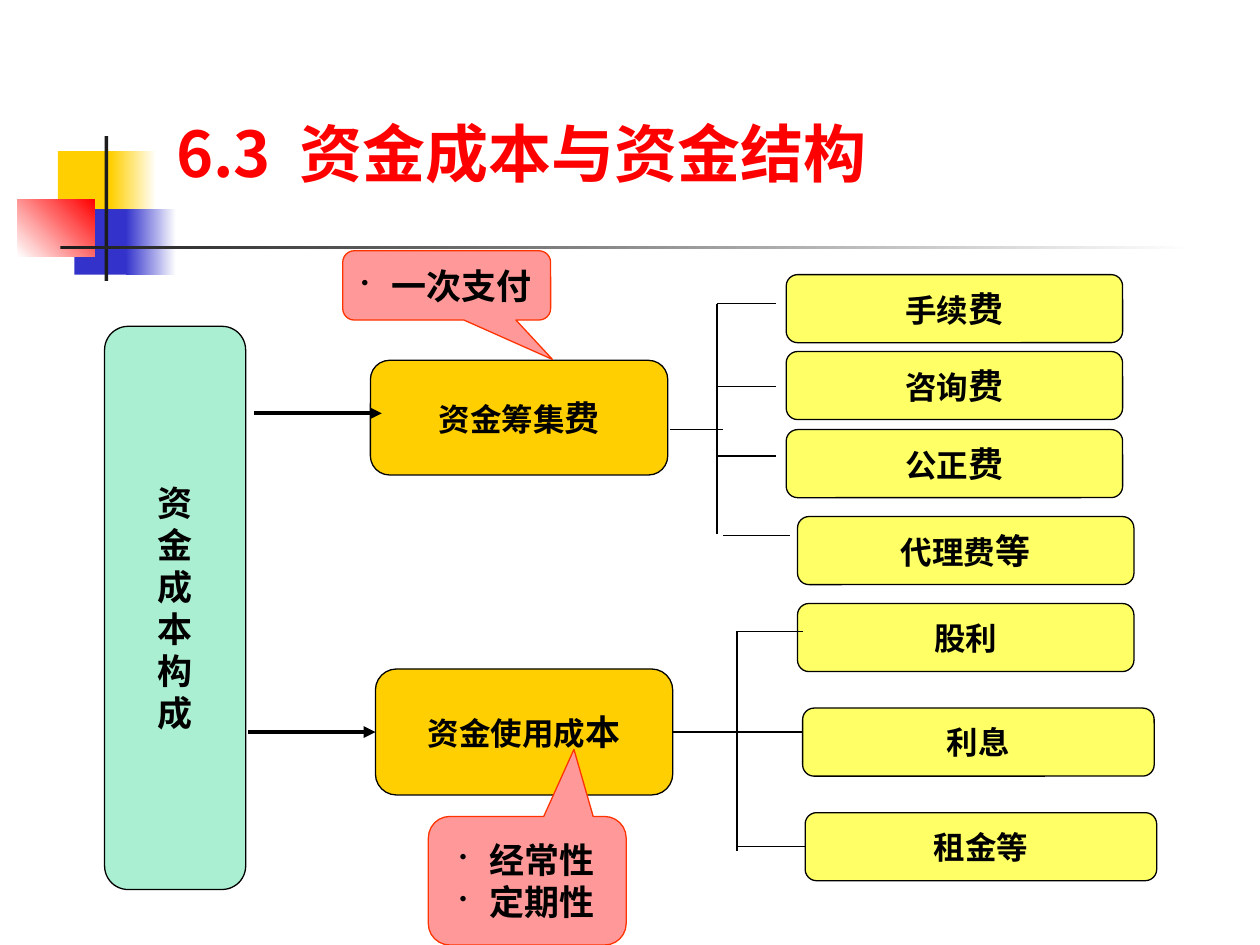
from typing import NamedTuple, Optional

from lxml import etree
from pptx import Presentation
from pptx.dml.color import RGBColor
from pptx.enum.shapes import MSO_CONNECTOR, MSO_SHAPE
from pptx.enum.text import MSO_ANCHOR, PP_ALIGN
from pptx.oxml.ns import qn
from pptx.util import Inches, Pt

RECT = MSO_SHAPE.RECTANGLE
ROUNDED = MSO_SHAPE.ROUNDED_RECTANGLE
CALLOUT = MSO_SHAPE.ROUNDED_RECTANGULAR_CALLOUT
STRAIGHT = MSO_CONNECTOR.STRAIGHT
LEFT, CENTER = PP_ALIGN.LEFT, PP_ALIGN.CENTER
MIDDLE, BOTTOM = MSO_ANCHOR.MIDDLE, MSO_ANCHOR.BOTTOM
LEFT_SIDE, RIGHT_SIDE = 1, 3

BLACK = RGBColor(0x00, 0x00, 0x00)
WHITE = RGBColor(0xFF, 0xFF, 0xFF)
CHARCOAL = RGBColor(0x1C, 0x1C, 0x1C)
GOLD = RGBColor(0xFF, 0xCF, 0x01)
BLUE = RGBColor(0x33, 0x33, 0xCC)
RED = RGBColor(0xFF, 0x00, 0x00)
MINT = RGBColor(0xAA, 0xEF, 0xD1)
YELLOW = RGBColor(0xFF, 0xFF, 0x66)
PINK = RGBColor(0xFF, 0x99, 0x99)
ORANGE = RGBColor(0xFF, 0x33, 0x00)

CJK, ARIAL, DEJAVU = "Noto Sans CJK SC", "Arial", "DejaVu Sans"
CORNER = 0.167
BULLET_INDENT = 0.24


class Decoration(NamedTuple):
    left: float
    top: float
    width: float
    height: float
    start: RGBColor
    end: Optional[RGBColor] = None
    angle: int = 0


class Box(NamedTuple):
    left: float
    top: float
    width: float
    height: float
    fill: RGBColor
    lines: list
    font: str = ARIAL


class Note(NamedTuple):
    box: Box
    tip_x: float
    tip_y: float


class Link(NamedTuple):
    x1: float
    y1: float
    x2: float
    y2: float
    arrow: bool = False
    source: Optional[str] = None
    target: Optional[str] = None


DECORATIONS = [
    Decoration(0.46, 1.2, 0.48, 0.52, GOLD),
    Decoration(0.88, 1.2, 0.36, 0.52, GOLD, WHITE),
    Decoration(0.59, 1.66, 0.46, 0.52, BLUE),
    Decoration(1, 1.66, 0.4, 0.52, BLUE, WHITE),
    Decoration(0.14, 1.58, 0.61, 0.46, WHITE, RED, 45),
    Decoration(0.83, 1.08, 0.03, 1.15, CHARCOAL),
    Decoration(0.48, 1.95, 9, 0.03, CHARCOAL, WHITE),
]


def fee(left: float, top: float, width: float, *runs: tuple, font: str = ARIAL) -> Box:
    """Describe one yellow fee item."""
    return Box(left, top, width, 0.54, YELLOW, [runs], font)


BOXES = {
    "composition": Box(0.83, 2.59, 1.12, 4.47, MINT,
                       [[(character, 20)] for character in "资金成本构成"], CJK),
    "raising": Box(2.94, 2.86, 2.36, 0.91, GOLD, [[("资金筹集", 18), ("费", 20)]], CJK),
    "usage": Box(2.98, 5.31, 2.36, 1, GOLD, [[("资金使用成", 18), ("本", 20)]]),
    "handling": fee(6.24, 2.18, 2.67, ("手续", 18), ("费", 20)),
    "consulting": fee(6.24, 2.79, 2.67, ("咨询", 18), ("费", 20)),
    "notary": fee(6.24, 3.41, 2.67, ("公正", 18), ("费", 20)),
    "agency": fee(6.33, 4.1, 2.67, ("代理费", 18), ("等", 20)),
    "dividend": fee(6.33, 4.79, 2.67, ("股利", 18)),
    "interest": fee(6.37, 5.62, 2.79, ("利息", 18), font=DEJAVU),
    "rent": fee(6.39, 6.45, 2.79, ("租金等", 18)),
}

RAISING_X, USAGE_X, USAGE_Y = 5.69, 5.85, 5.81
LINKS = [
    Link(2.02, 3.28, 3.03, 3.28, arrow=True),
    Link(1.97, USAGE_Y, 2.98, USAGE_Y, arrow=True, target="usage"),
    Link(5.32, 3.41, 5.74, 3.41),
    Link(RAISING_X, 2.41, RAISING_X, 4.24),
    *[Link(RAISING_X, y, 6.16, y) for y in (2.41, 3.07, 3.62)],
    Link(5.74, 4.25, 6.27, 4.25),
    Link(5.34, USAGE_Y, USAGE_X, USAGE_Y, source="usage"),
    Link(USAGE_X, 5.01, USAGE_X, 6.75),
    *[Link(USAGE_X, y, 6.37, y) for y in (5.01, USAGE_Y)],
    Link(USAGE_X, 6.72, 6.39, 6.72, target="rent"),
]

NOTES = [
    Note(Box(2.72, 1.99, 1.65, 0.55, PINK, [[("一次支付", 20)]], DEJAVU), 0.509, 1.069),
    Note(Box(3.4, 6.48, 1.57, 1.02, PINK, [[("经常性", 20)], [("定期性", 20)]], DEJAVU),
         0.236, -1.022),
]


def add_bullet(paragraph) -> None:
    """Give a paragraph a small black hanging bullet."""
    properties = paragraph._p.get_or_add_pPr()
    indent = Inches(BULLET_INDENT)
    properties.set("marL", str(indent))
    properties.set("indent", str(-indent))
    bullet_color = etree.SubElement(properties, qn("a:buClr"))
    etree.SubElement(bullet_color, qn("a:srgbClr"), val=str(BLACK))
    etree.SubElement(properties, qn("a:buSzPct"), val="60000")
    etree.SubElement(properties, qn("a:buChar"), char="•")


def write_text(shape, lines: list, *, font: str, color: RGBColor = BLACK, align=CENTER,
               anchor=MIDDLE, wrap: bool = False, bullets: bool = False) -> None:
    """Fill a shape with bold lines made of (text, size) runs."""
    frame = shape.text_frame
    frame.word_wrap = wrap
    frame.vertical_anchor = anchor
    for index, runs in enumerate(lines):
        paragraph = frame.add_paragraph() if index else frame.paragraphs[0]
        paragraph.alignment = align
        if bullets:
            add_bullet(paragraph)
        for text, size in runs:
            run = paragraph.add_run()
            run.text = text
            run.font.size = Pt(size)
            run.font.bold = True
            run.font.name = font
            run.font.color.rgb = color
            etree.SubElement(run._r.get_or_add_rPr(), qn("a:ea"), typeface=CJK)


def draw_decoration(slide, part: Decoration) -> None:
    """Draw a borderless block, plain or fading between two colours."""
    block = slide.shapes.add_shape(RECT, *map(Inches, part[:4]))
    block.shadow.inherit = False
    block.line.fill.background()
    if part.end is None:
        block.fill.solid()
        block.fill.fore_color.rgb = part.start
        return
    block.fill.gradient()
    block.fill.gradient_angle = part.angle
    for stop, color in zip(block.fill.gradient_stops, (part.start, part.end)):
        stop.color.rgb = color


def draw_box(slide, box: Box, kind=ROUNDED, adjustments: tuple = (CORNER,),
             outline: RGBColor = BLACK, **text_format):
    """Draw a filled, outlined box with its text and return it."""
    shape = slide.shapes.add_shape(kind, *map(Inches, box[:4]))
    for index, value in enumerate(adjustments):
        shape.adjustments[index] = value
    shape.shadow.inherit = False
    shape.fill.solid()
    shape.fill.fore_color.rgb = box.fill
    shape.line.color.rgb = outline
    shape.line.width = Pt(0.75)
    write_text(shape, box.lines, font=box.font, **text_format)
    return shape


def draw_link(slide, link: Link, boxes: dict) -> None:
    """Draw a line or arrow, joined to its boxes where named."""
    connector = slide.shapes.add_connector(STRAIGHT, *map(Inches, link[:4]))
    if link.source:
        connector.begin_connect(boxes[link.source], RIGHT_SIDE)
    if link.target:
        connector.end_connect(boxes[link.target], LEFT_SIDE)
    connector.line.color.rgb = BLACK
    connector.line.width = Pt(2.25 if link.arrow else 0.75)
    if link.arrow:
        etree.SubElement(connector.line._get_or_add_ln(), qn("a:tailEnd"), type="triangle")
    etree.SubElement(connector._element.spPr, qn("a:effectLst"))


def main() -> None:
    """Build the slide on the composition of capital cost."""
    deck = Presentation()
    deck.slide_width, deck.slide_height = Inches(10), Inches(7.5)
    slide = deck.slides.add_slide(deck.slide_layouts[6])
    for part in DECORATIONS:
        draw_decoration(slide, part)
    boxes = {name: draw_box(slide, box) for name, box in BOXES.items()}
    for link in LINKS:
        draw_link(slide, link, boxes)
    for note in NOTES:
        draw_box(slide, note.box, CALLOUT, (note.tip_x, note.tip_y, CORNER), ORANGE,
                 wrap=True, bullets=True)
    title = slide.shapes.add_textbox(Inches(1.3), Inches(0.73), Inches(6.77), Inches(0.83))
    write_text(title, [[("6.3  资金成本与资金结构", 36)]], font=CJK, color=RED,
               align=LEFT, anchor=BOTTOM, wrap=True)
    deck.save("out.pptx")


if __name__ == "__main__":
    main()
